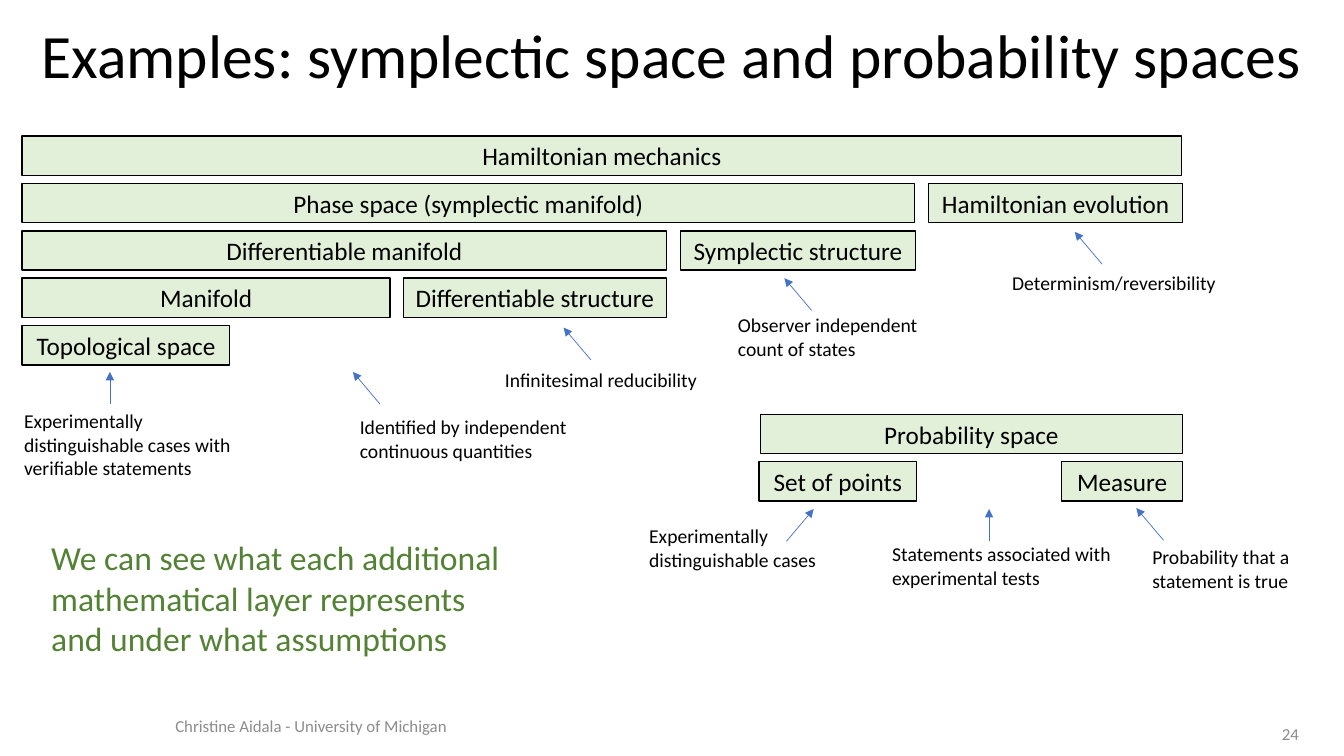
from pptx import Presentation
from pptx.dml.color import RGBColor
from pptx.enum.shapes import MSO_CONNECTOR, MSO_SHAPE
from pptx.enum.text import MSO_ANCHOR, PP_ALIGN
from pptx.oxml.ns import qn
from pptx.util import Inches, Pt
from lxml import etree

RECT = MSO_SHAPE.RECTANGLE
LINE = MSO_CONNECTOR.STRAIGHT
TOP, MIDDLE = MSO_ANCHOR.TOP, MSO_ANCHOR.MIDDLE
LEFT, CENTER, RIGHT = PP_ALIGN.LEFT, PP_ALIGN.CENTER, PP_ALIGN.RIGHT

COLORS = {
    "ink": "000000",
    "fill": "E2F0D9",
    "arrow": "4472C4",
    "green": "548235",
    "gray": "8C8C8C",
}

STEP = 0.47
LAYERS = [
    (1.35, [
        [(0.22, 11.5, "Hamiltonian mechanics")],
        [(0.22, 8.85, "Phase space (symplectic manifold)"),
         (9.21, 2.52, "Hamiltonian evolution")],
        [(0.22, 6.39, "Differentiable manifold"),
         (6.75, 2.33, "Symplectic structure")],
        [(0.22, 3.65, "Manifold"), (4, 2.61, "Differentiable structure")],
        [(0.22, 2.06, "Topological space")],
    ]),
    (4.11, [
        [(7.54, 4.19, "Probability space")],
        [(7.53, 1.56, "Set of points"), (10.53, 1.2, "Measure")],
    ]),
]

SLANT, RISE = 0.27, 0.32
NOTES = [
    (0.14, 4.01, 2.27, 0.81, 1.09, 3.69, 0,
     "Experimentally distinguishable cases with verifiable statements"),
    (3.47, 4.07, 2.38, 0.57, 3.5, 3.69, SLANT,
     "Identified by independent continuous quantities"),
    (4.91, 3.6, 2.38, 0.34, 5.59, 3.25, SLANT, "Infinitesimal reducibility"),
    (7.22, 3.06, 2.38, 0.57, 7.78, 2.76, SLANT,
     "Observer independent count of states"),
    (9.94, 2.64, 2.38, 0.34, 10.66, 2.3, SLANT, "Determinism/reversibility"),
    (6.34, 5.15, 2.38, 0.57, 8.07, 5.05, -SLANT,
     "Experimentally distinguishable cases"),
    (8.75, 5.33, 2.38, 0.57, 9.81, 5.05, 0,
     "Statements associated with experimental tests"),
    (11.33, 5.36, 2.38, 0.57, 11.27, 5.04, SLANT,
     "Probability that a statement is true"),
]


class Deck:
    """Hold the slide and draw its elements in one style."""

    def __init__(self):
        self.prs = Presentation()
        self.prs.slide_width = Inches(13.33)
        self.prs.slide_height = Inches(7.5)
        self.slide = self.prs.slides.add_slide(self.prs.slide_layouts[6])
        self.shapes = self.slide.shapes
        self.font = "Calibri"

    def color(self, name):
        return RGBColor.from_string(COLORS[name])

    def label(self, shape, text, size, color, align, anchor):
        frame = shape.text_frame
        frame.vertical_anchor = anchor
        para = frame.paragraphs[0]
        para.text = text
        para.alignment = align
        para.font.name = self.font
        para.font.size = Pt(size)
        para.font.color.rgb = self.color(color)
        return para

    def text(self, x, y, w, h, text, size=14, color="ink", align=LEFT, anchor=TOP):
        box = self.shapes.add_textbox(Inches(x), Inches(y), Inches(w), Inches(h))
        box.text_frame.word_wrap = True
        return self.label(box, text, size, color, align, anchor)

    def bar(self, x, y, w, text):
        bar = self.shapes.add_shape(RECT, Inches(x), Inches(y), Inches(w), Inches(0.39))
        bar.shadow.inherit = False
        bar.fill.solid()
        bar.fill.fore_color.rgb = self.color("fill")
        bar.line.color.rgb = self.color("ink")
        bar.line.width = Pt(1)
        bar.text_frame.word_wrap = False
        self.label(bar, text, 18, "ink", CENTER, MIDDLE)

    def arrow(self, x, y, slant):
        arrow = self.shapes.add_connector(
            LINE, Inches(x + slant), Inches(y + RISE), Inches(x), Inches(y))
        arrow.line.color.rgb = self.color("arrow")
        arrow.line.width = Pt(0.5)
        props = arrow._element.spPr
        etree.SubElement(props.find(qn("a:ln")), qn("a:tailEnd"), type="triangle")
        etree.SubElement(props, qn("a:effectLst"))


def main():
    deck = Deck()
    title = deck.text(0.11, 0.09, 13.11, 0.98,
                      "Examples: symplectic space and probability spaces",
                      44, align=CENTER, anchor=MIDDLE)
    title.line_spacing = 0.9
    for top, rows in LAYERS:
        for i, row in enumerate(rows):
            for x, w, text in row:
                deck.bar(x, top + i * STEP, w, text)
    for x, y, w, h, tip_x, tip_y, slant, text in NOTES:
        deck.text(x, y, w, h, text)
        deck.arrow(tip_x, tip_y, slant)
    deck.text(0.41, 5.28, 4.86, 1.31,
              "We can see what each additional mathematical layer represents "
              "and under what assumptions", 24, "green")
    deck.text(1.64, 7, 6.53, 0.4, "Christine Aidala - University of Michigan",
              12, "gray", anchor=MIDDLE)
    deck.text(12.37, 7.15, 0.61, 0.25, "24", 12, "gray", RIGHT, MIDDLE)
    deck.prs.save("out.pptx")


if __name__ == "__main__":
    main()
